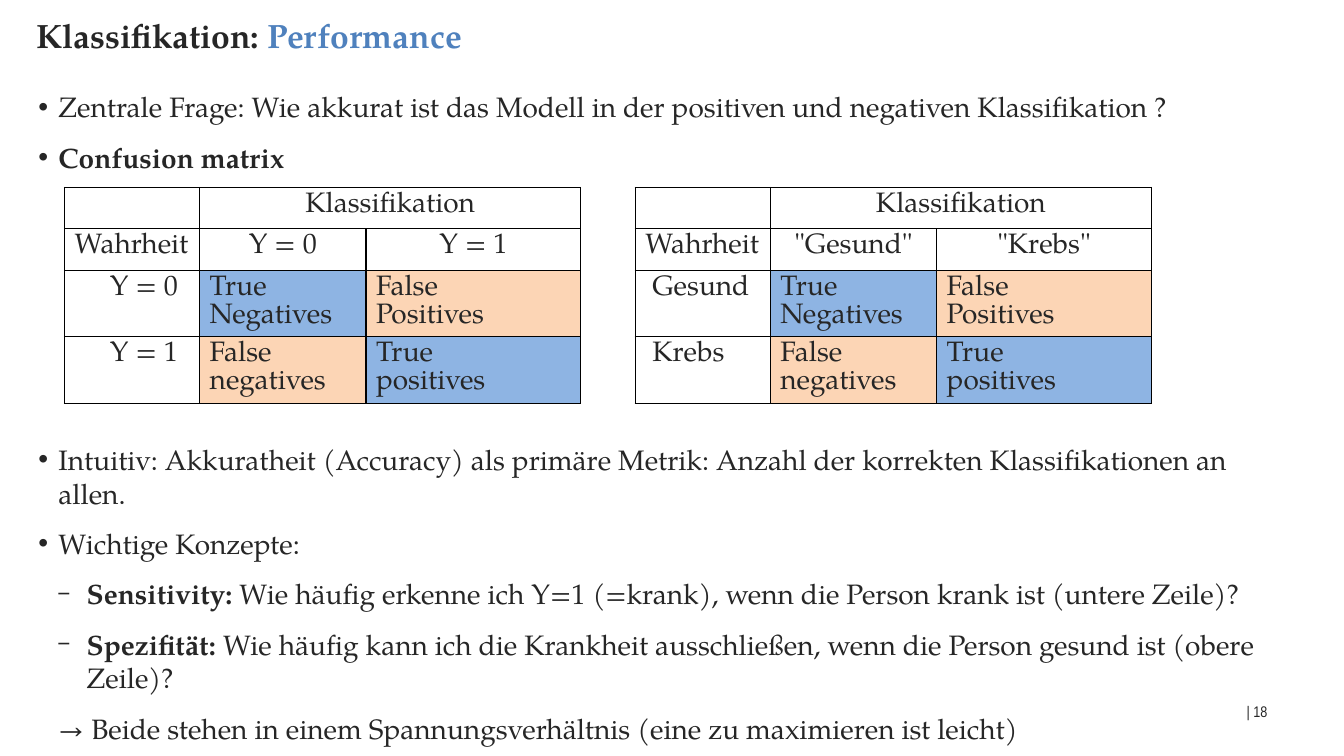
"""Build the slide on classification performance with two confusion matrices."""
import lxml.etree
import pptx
import pptx.dml.color
import pptx.enum.text
import pptx.oxml.ns
import pptx.util

Inches = pptx.util.Inches
Pt = pptx.util.Pt
Align = pptx.enum.text.PP_ALIGN
Anchor = pptx.enum.text.MSO_ANCHOR
qn = pptx.oxml.ns.qn

INK = pptx.dml.color.RGBColor(0x26, 0x26, 0x26)
ACCENT = pptx.dml.color.RGBColor(0x4F, 0x81, 0xBD)
CORRECT = pptx.dml.color.RGBColor(0x8E, 0xB4, 0xE3)
WRONG = pptx.dml.color.RGBColor(0xFC, 0xD5, 0xB5)
BORDER = pptx.dml.color.RGBColor(0, 0, 0)

COLUMN_WIDTHS = (1.34, 1.65, 2.13)
ROW_HEIGHTS = (0.41, 0.41, 0.66, 0.66)
OUTCOMES = (("True Negatives", "False\nPositives"), ("False negatives", "True\npositives"))


class SlideBuilder:
    serif = "TeX Gyre Pagella"
    narrow = "Arial Narrow"
    text_size = 20

    def __init__(self, deck):
        self.slide = deck.slides.add_slide(deck.slide_layouts[1])

    def set_font(self, para, size=text_size, name=serif, bold=False):
        font = para.font
        font.size, font.name, font.bold = Pt(size), name, bold
        font.color.rgb = INK

    def place(self, shape, left, top, width, height, anchor=Anchor.TOP):
        shape.left, shape.top = Inches(left), Inches(top)
        shape.width, shape.height = Inches(width), Inches(height)
        frame = shape.text_frame
        frame.word_wrap = True
        frame.auto_size = pptx.enum.text.MSO_AUTO_SIZE.NONE
        frame.vertical_anchor = anchor
        return frame

    def title(self, start, highlight):
        frame = self.place(self.slide.shapes.title, 0.26, 0.1, 12, 0.5)
        para = frame.paragraphs[0]
        para.alignment = Align.LEFT
        self.set_font(para, 24, bold=True)
        para.add_run().text = start
        span = para.add_run()
        span.text = highlight
        span.font.color.rgb = ACCENT

    def bullet(self, para, character, margin, indent, percent):
        properties = para._p.get_or_add_pPr()
        properties.set("marL", str(Inches(margin)))
        properties.set("indent", str(Inches(indent)))
        if character:
            size = lxml.etree.SubElement(properties, qn("a:buSzPct"))
            size.set("val", str(percent * 1000))
            mark = lxml.etree.SubElement(properties, qn("a:buChar"))
            mark.set("char", character)
        else:
            lxml.etree.SubElement(properties, qn("a:buNone"))

    def body(self, items):
        frame = self.place(self.slide.placeholders[1], 0.28, 0.84, 12.39, 6.56)
        styles = {
            "point": (0, "•", 0.2, -0.2, 100),
            "dash": (1, "−", 0.48, -0.29, 80),
            "plain": (1, None, 0.2, 0, 100),
        }
        for index, (style, strong, text, gap) in enumerate(items):
            para = frame.add_paragraph() if index else frame.paragraphs[0]
            level, *bullet = styles[style]
            para.level = level
            para.space_before, para.space_after = Pt(gap), Pt(12)
            self.bullet(para, *bullet)
            self.set_font(para, bold=bool(strong and not text))
            if strong:
                span = para.add_run()
                span.text = strong
                span.font.bold = True
            if text:
                para.add_run().text = text

    def page_number(self, text):
        box = self.slide.shapes.add_textbox(0, 0, 0, 0)
        para = self.place(box, 9.56, 6.86, 3.11, 0.4, Anchor.MIDDLE).paragraphs[0]
        para.text = text
        para.alignment = Align.RIGHT
        self.set_font(para, 11, self.narrow)

    def border(self, cell):
        properties = cell._tc.get_or_add_tcPr()
        for side in ("a:lnL", "a:lnR", "a:lnT", "a:lnB"):
            line = lxml.etree.SubElement(properties, qn(side), w=str(Pt(1)))
            fill = lxml.etree.SubElement(line, qn("a:solidFill"))
            lxml.etree.SubElement(fill, qn("a:srgbClr"), val=str(BORDER))

    def cell(self, cell, text, alignment, color=None):
        self.border(cell)
        if color is None:
            cell.fill.background()
        else:
            cell.fill.solid()
            cell.fill.fore_color.rgb = color
        cell.text = text
        for para in cell.text_frame.paragraphs:
            para.alignment = alignment
            para.line_spacing = Pt(self.text_size)
            self.set_font(para)

    def matrix(self, left, truths, predictions, truth_margin):
        frame = self.slide.shapes.add_table(
            len(ROW_HEIGHTS), len(COLUMN_WIDTHS), Inches(left), Inches(1.86),
            Inches(sum(COLUMN_WIDTHS)), Inches(sum(ROW_HEIGHTS)))
        table = frame.table
        table.first_row = table.horz_banding = False
        for column, width in zip(table.columns, COLUMN_WIDTHS):
            column.width = Inches(width)
        for row, height in zip(table.rows, ROW_HEIGHTS):
            row.height = Inches(height)
        rows = [("", "Klassifikation", ""), ("Wahrheit", *predictions)]
        rows += [(truth, *outcome) for truth, outcome in zip(truths, OUTCOMES)]
        for r, texts in enumerate(rows):
            for c, text in enumerate(texts):
                cell = table.cell(r, c)
                color = None
                if r > 1 and c > 0:
                    color = CORRECT if r - 1 == c else WRONG
                self.cell(cell, text, Align.CENTER if r < 2 and c else Align.LEFT, color)
                if r > 1 and c == 0:
                    cell.margin_left = Inches(truth_margin)
        table.cell(0, 1).merge(table.cell(0, 2))


deck = pptx.Presentation()
deck.slide_width, deck.slide_height = Inches(13.33), Inches(7.5)
page = SlideBuilder(deck)
page.title("Klassifikation: ", "Performance")
page.body([
    ("point", "", "Zentrale Frage: Wie akkurat ist das Modell in der positiven "
     "und negativen Klassifikation ?", 0),
    ("point", "Confusion matrix", "", 0),
    ("point", "", "Intuitiv: Akkuratheit (Accuracy) als primäre Metrik: Anzahl der "
     "korrekten Klassifikationen an allen.", 180),
    ("point", "", "Wichtige Konzepte:", 0),
    ("dash", "Sensitivity: ", "Wie häufig erkenne ich Y=1 (=krank), wenn die Person "
     "krank ist (untere Zeile)?", 0),
    ("dash", "Spezifität: ", "Wie häufig kann ich die Krankheit ausschließen, wenn die "
     "Person gesund ist (obere Zeile)?", 0),
    ("plain", "", "→ Beide stehen in einem Spannungsverhältnis (eine zu maximieren "
     "ist leicht)", 0),
])
page.page_number("| 18")
page.matrix(0.64, ("Y = 0", "Y = 1"), ("Y = 0", "Y = 1"), 0.45)
page.matrix(6.3, ("Gesund", "Krebs"), ('"Gesund"', '"Krebs"'), 0.17)
deck.save("out.pptx")
